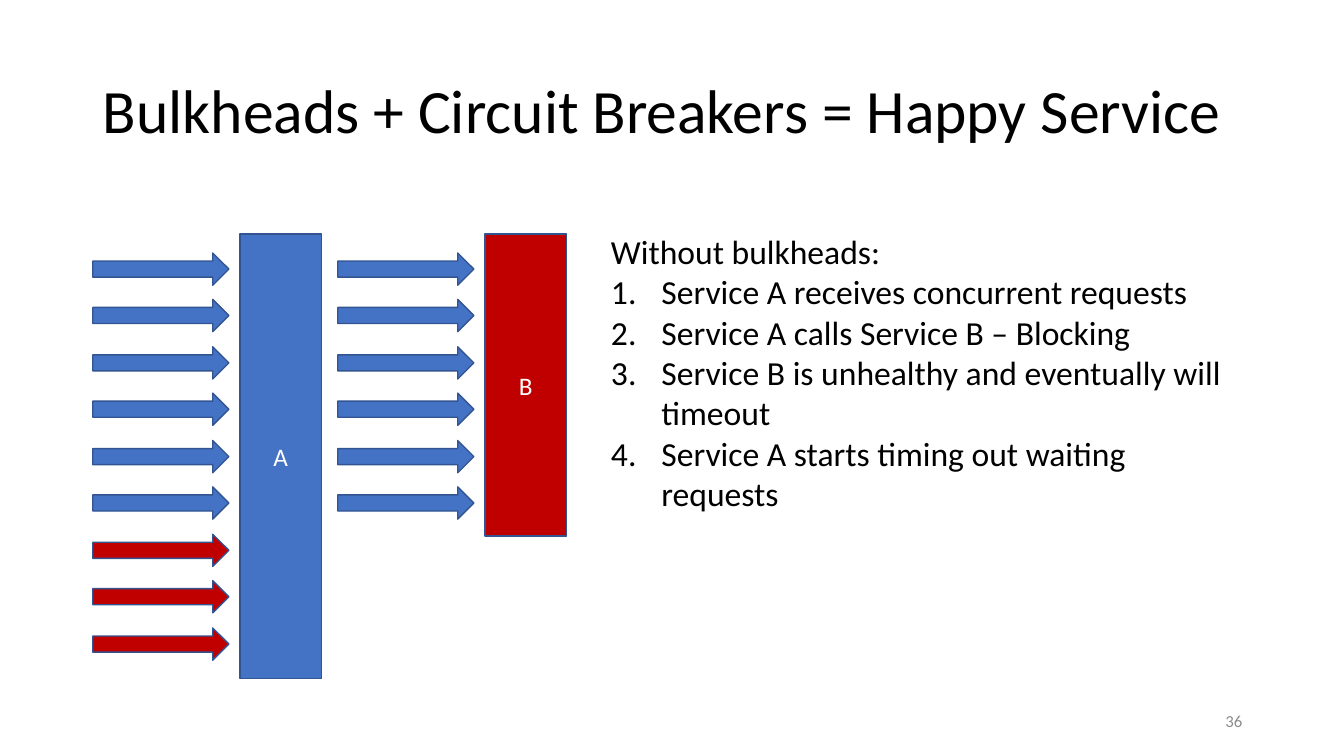
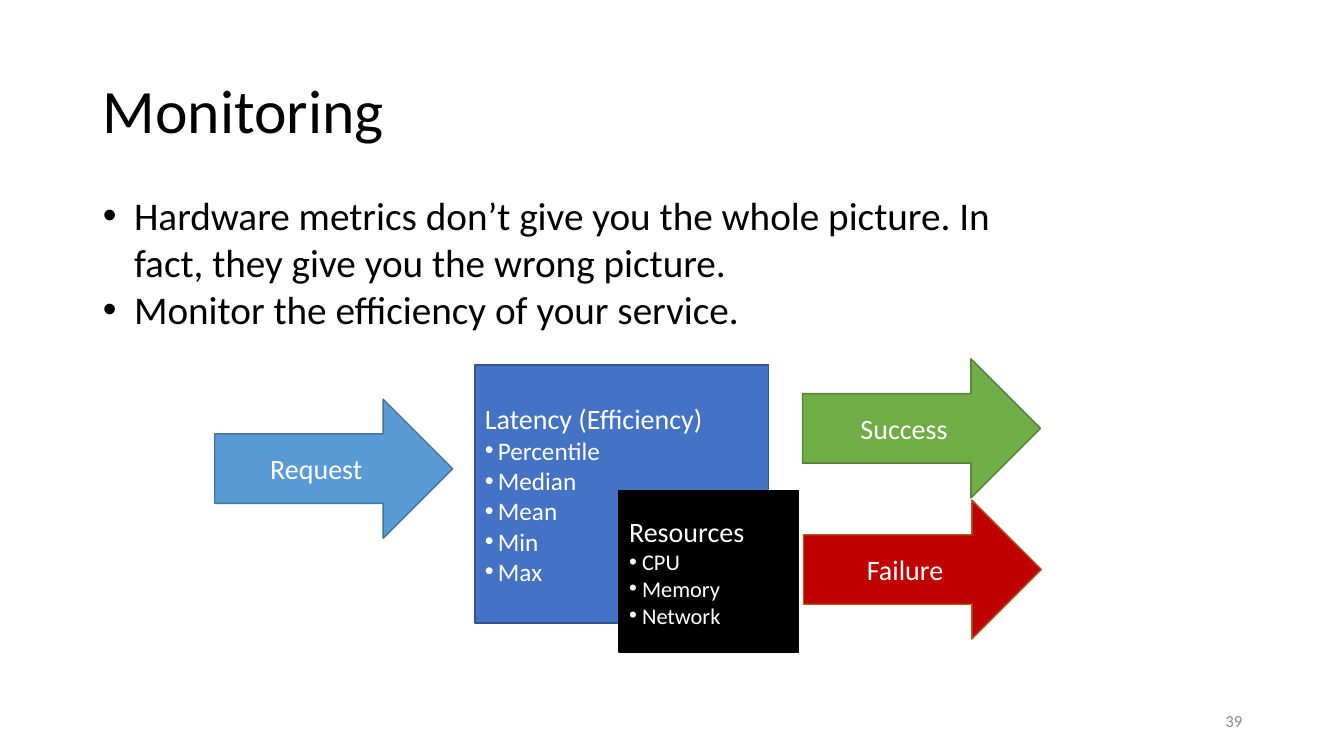
from dataclasses import dataclass

from lxml import etree
from pptx import Presentation
from pptx.dml.color import RGBColor
from pptx.enum.shapes import MSO_SHAPE
from pptx.enum.text import MSO_ANCHOR, MSO_AUTO_SIZE, PP_ALIGN
from pptx.oxml.ns import qn
from pptx.util import Emu, Pt

ARROW, RECTANGLE = MSO_SHAPE.RIGHT_ARROW, MSO_SHAPE.RECTANGLE
LEFT, CENTER, RIGHT = PP_ALIGN.LEFT, PP_ALIGN.CENTER, PP_ALIGN.RIGHT
TOP, MIDDLE = MSO_ANCHOR.TOP, MSO_ANCHOR.MIDDLE
NO_FIT = MSO_AUTO_SIZE.NONE

EMU_PER_PX = 9144  # 100 px to the inch
TITLE_AND_CONTENT = 1


@dataclass(frozen=True)
class Theme:
    font: str = "Calibri"
    text: str = "000000"
    light_text: str = "FFFFFF"
    muted: str = "8C8C8C"
    blue: str = "4472C4"
    blue_line: str = "325491"
    sky: str = "5B9BD5"
    sky_line: str = "43739E"
    green: str = "70AD47"
    green_line: str = "538035"
    red: str = "C00000"
    orange_line: str = "AF5C24"
    black: str = "000000"
    title_size: int = 44
    bullet_size: int = 28
    step_size: int = 24
    heading_size: int = 20
    label_size: int = 18
    small_size: int = 16
    number_size: int = 12


THEME = Theme()


@dataclass(frozen=True)
class Line:
    """One paragraph; the marker is "", "•" or "1." and hangs by the indent."""
    text: str
    size: int
    marker: str = ""
    indent: int = 0


def px(value):
    return Emu(value * EMU_PER_PX)


def place(shape, left, top, width, height):
    shape.left, shape.top = px(left), px(top)
    shape.width, shape.height = px(width), px(height)


def set_marker(para, line):
    properties = para._p.get_or_add_pPr()
    properties.set("marL", str(px(line.indent)))
    properties.set("indent", str(px(-line.indent)))
    if line.marker == "•":
        etree.SubElement(properties, qn("a:buFont")).set("typeface", "Arial")
        etree.SubElement(properties, qn("a:buChar")).set("char", line.marker)
    elif line.marker:
        etree.SubElement(properties, qn("a:buFont")).set("typeface", "+mj-lt")
        etree.SubElement(properties, qn("a:buAutoNum")).set("type", "arabicPeriod")
    else:
        etree.SubElement(properties, qn("a:buNone"))


def write(shape, lines, color, align=LEFT, anchor=MIDDLE, spacing=1.0):
    frame = shape.text_frame
    frame.word_wrap = True
    frame.auto_size = NO_FIT
    frame.vertical_anchor = anchor
    for index, line in enumerate(lines):
        para = frame.add_paragraph() if index else frame.paragraphs[0]
        para.alignment = align
        para.line_spacing = spacing
        para.space_before = para.space_after = Pt(0)
        set_marker(para, line)
        span = para.add_run()
        span.text = line.text
        span.font.name = THEME.font
        span.font.size = Pt(line.size)
        span.font.color.rgb = RGBColor.from_string(color)


def add_page(deck, title, number, body_at, body_lines):
    page = deck.slides.add_slide(deck.slide_layouts[TITLE_AND_CONTENT])
    heading, body = page.shapes.title, page.placeholders[1]
    place(heading, 92, 40, 1150, 145)
    write(heading, [Line(title, THEME.title_size)], THEME.text, spacing=0.9)
    place(body, *body_at)
    write(body, body_lines, THEME.text, anchor=TOP)
    footer = page.shapes.add_textbox(px(942), px(695), px(300), px(40))
    write(footer, [Line(number, THEME.number_size)], THEME.muted, align=RIGHT)
    return page


def add_block(page, kind, at, fill, line_color, lines=(), align=CENTER):
    block = page.shapes.add_shape(kind, *map(px, at))
    block.shadow.inherit = False
    block.fill.solid()
    block.fill.fore_color.rgb = RGBColor.from_string(fill)
    block.line.color.rgb = RGBColor.from_string(line_color)
    block.line.width = Pt(1)
    write(block, lines, THEME.light_text, align=align)


def add_calls(page, left, fills):
    """Stack one small arrow per fill, 46.5 px apart."""
    for row, fill in enumerate(fills):
        add_block(page, ARROW, (left, 251 + row * 93 // 2, 135, 32),
                  fill, THEME.blue_line)


def add_card(page, at, fill, line_color, heading, items, item_size):
    lines = [Line(heading, THEME.heading_size)]
    lines += [Line(item, item_size, "•", 13) for item in items]
    add_block(page, RECTANGLE, at, fill, line_color, lines, align=LEFT)


def build_bulkheads(deck):
    steps = ["Service A receives concurrent requests",
             "Service A calls Service B – Blocking",
             "Service B is unhealthy and eventually will timeout",
             "Service A starts timing out waiting requests"]
    lines = [Line("Without bulkheads:", THEME.step_size)]
    lines += [Line(step, THEME.step_size, "1.", 50) for step in steps]
    page = add_page(deck, "Bulkheads + Circuit Breakers = Happy Service", "36",
                    (596, 224, 646, 333), lines)
    add_calls(page, 92, [THEME.blue] * 6 + [THEME.red] * 3)
    add_calls(page, 335, [THEME.blue] * 6)
    for name, left, height, fill in [("A", 238, 441, THEME.blue),
                                     ("B", 481, 300, THEME.red)]:
        add_block(page, RECTANGLE, (left, 232, 81, height), fill,
                  THEME.blue_line, [Line(name, THEME.label_size)])


def build_monitoring(deck):
    points = ["Hardware metrics don’t give you the whole picture. "
              "In fact, they give you the wrong picture.",
              "Monitor the efficiency of your service."]
    page = add_page(deck, "Monitoring", "39", (92, 185, 965, 151),
                    [Line(point, THEME.bullet_size, "•", 31) for point in points])
    add_card(page, (471, 362, 291, 256), THEME.blue, THEME.blue_line,
             "Latency (Efficiency)",
             ["Percentile", "Median", "Mean", "Min", "Max"], THEME.label_size)
    add_card(page, (614, 487, 178, 160), THEME.black, THEME.black,
             "Resources", ["CPU", "Memory", "Network"], THEME.small_size)
    for label, left, top, fill, line_color in [
            ("Request", 213, 396, THEME.sky, THEME.sky_line),
            ("Success", 796, 356, THEME.green, THEME.green_line),
            ("Failure", 797, 496, THEME.red, THEME.orange_line)]:
        add_block(page, ARROW, (left, top, 236, 138), fill, line_color,
                  [Line(label, THEME.heading_size)])


def main():
    deck = Presentation()
    deck.slide_width, deck.slide_height = px(1333), px(750)
    build_bulkheads(deck)
    build_monitoring(deck)
    deck.save("out.pptx")


if __name__ == "__main__":
    main()
